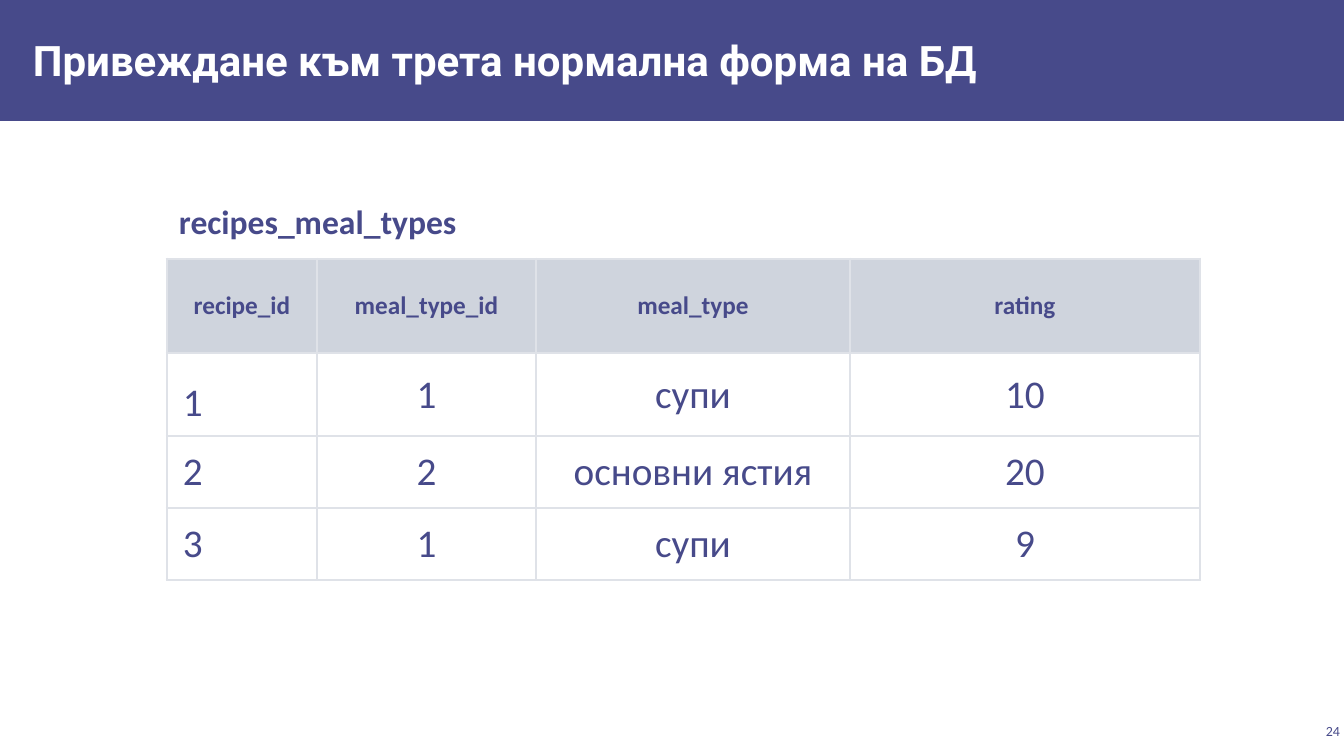
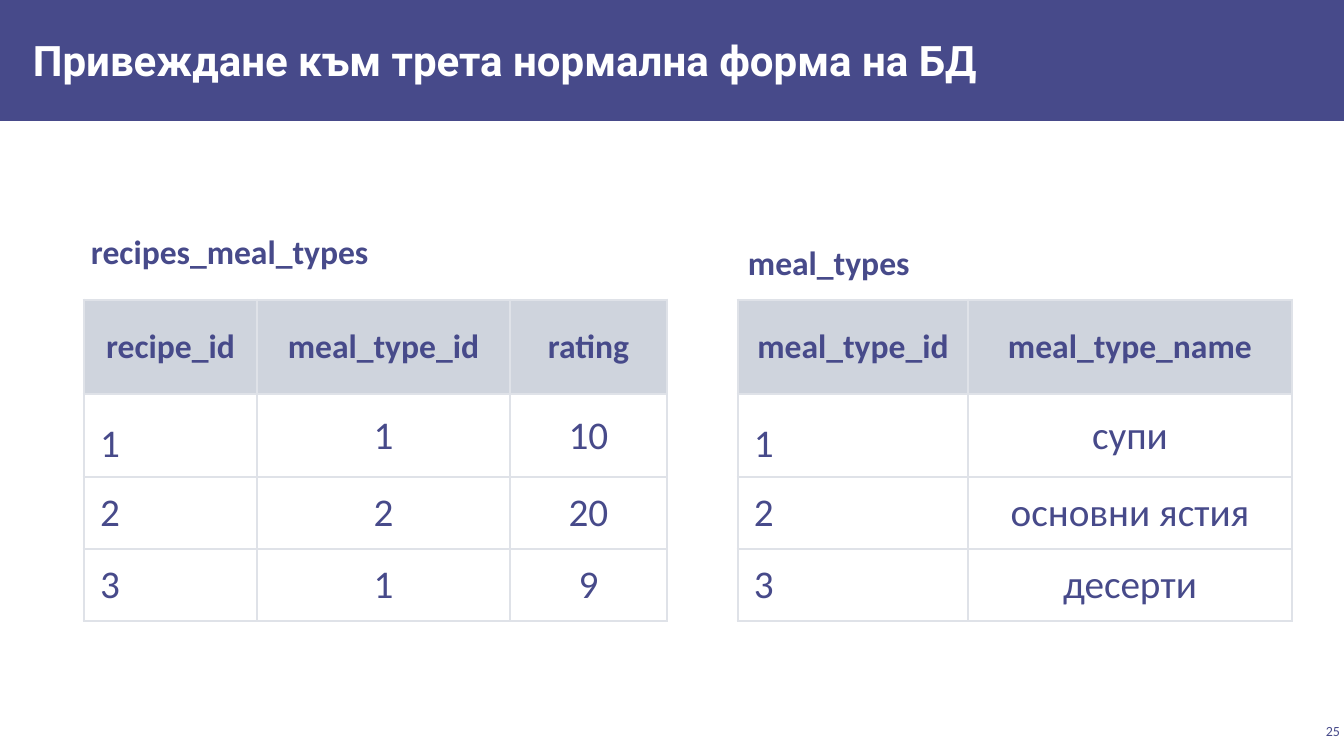
from lxml import etree
from pptx import Presentation
from pptx.dml.color import RGBColor
from pptx.enum.shapes import MSO_SHAPE
from pptx.enum.text import MSO_ANCHOR, PP_ALIGN
from pptx.oxml.ns import qn
from pptx.util import Emu, Pt

RECTANGLE = MSO_SHAPE.RECTANGLE
TOP, MIDDLE = MSO_ANCHOR.TOP, MSO_ANCHOR.MIDDLE
LEFT, CENTER, RIGHT = PP_ALIGN.LEFT, PP_ALIGN.CENTER, PP_ALIGN.RIGHT

EMU_PER_PX = 914400 / 100.8
WIDTH, HEIGHT = 1344, 756
ROW_HEIGHTS = [94, 83, 72, 72]
TITLE = "Привеждане към трета нормална форма на БД"


def px(length):
    return Emu(round(length * EMU_PER_PX))


def color(value):
    return RGBColor.from_string(value)


class SlideWriter:
    INDIGO = "474A8A"
    WHITE = "FFFFFF"
    HEADER = "A1AABC"
    BORDER = "DFE2E8"
    TITLE_FONT = "Roboto"
    BODY_FONT = "Calibri"
    THIN, THICK = 1, 2.25

    def __init__(self, deck):
        self.deck = deck
        self.page = None

    def start(self, number):
        """Add a slide with the title band and the page number."""
        self.page = self.deck.slides.add_slide(self.deck.slide_layouts[6])
        band = self.page.shapes.add_shape(RECTANGLE, 0, 0, px(WIDTH), px(121))
        band.shadow.inherit = False
        band.fill.solid()
        band.fill.fore_color.rgb = color(self.INDIGO)
        band.line.fill.background()
        self.text(TITLE, 21, 11, 1048, 98, 30, margins=(12, 4), bold=True,
                  font=self.TITLE_FONT, ink=self.WHITE, anchor=MIDDLE)
        self.text(str(number), 1296, 720, 48, 22, 10, margins=(4, 4),
                  align=RIGHT, anchor=MIDDLE)

    def style(self, para, size, bold=False, align=LEFT, font=BODY_FONT, ink=INDIGO):
        para.alignment = align
        para.font.size = Pt(size)
        para.font.bold = bold
        para.font.name = font
        para.font.color.rgb = color(ink)

    def set_margins(self, holder, side, end):
        holder.margin_left = holder.margin_right = px(side)
        holder.margin_top = holder.margin_bottom = px(end)

    def text(self, words, left, top, width, height, size,
             margins=(10, 10), anchor=TOP, **style):
        box = self.page.shapes.add_textbox(px(left), px(top), px(width), px(height))
        frame = box.text_frame
        frame.word_wrap = True
        frame.vertical_anchor = anchor
        self.set_margins(frame, *margins)
        frame.text = words
        self.style(frame.paragraphs[0], size, **style)

    def label(self, words, left, top, width, height):
        self.text(words, left, top, width, height, 24, bold=True)

    def borders(self, cell, **widths):
        """Draw the sides L, R, T and B, in that order, with widths in points."""
        properties = cell._tc.get_or_add_tcPr()
        for side, width in widths.items():
            line = etree.SubElement(properties, qn(f"a:ln{side}"), w=str(Pt(width)))
            fill = etree.SubElement(line, qn("a:solidFill"))
            etree.SubElement(fill, qn("a:srgbClr"), val=self.BORDER)

    def header_fill(self, cell):
        cell.fill.solid()
        cell.fill.fore_color.rgb = color(self.HEADER)
        tint = cell._tc.tcPr.find(f".//{qn('a:solidFill')}/{qn('a:srgbClr')}[@val='{self.HEADER}']")
        etree.SubElement(tint, qn("a:alpha"), val="50000")

    def table(self, rows, left, top, widths, header_size, right_edge=THIN):
        frame = self.page.shapes.add_table(
            len(rows), len(widths), px(left), px(top), px(sum(widths)), px(sum(ROW_HEIGHTS)))
        grid = frame.table
        grid.first_row = grid.horz_banding = False
        for column, width in zip(grid.columns, widths):
            column.width = px(width)
        for row, height in zip(grid.rows, ROW_HEIGHTS):
            row.height = px(height)

        last = len(widths) - 1
        for r, values in enumerate(rows):
            for c, value in enumerate(values):
                cell = grid.cell(r, c)
                cell.text = value
                cell.vertical_anchor = MIDDLE
                self.set_margins(cell, 16, 5)
                self.borders(cell,
                             L=self.THICK if c == 0 else self.THIN,
                             R=right_edge if c == last else self.THIN,
                             T=self.THICK if r <= 1 else self.THIN,
                             B=self.THICK if r == 0 else self.THIN)
                para = cell.text_frame.paragraphs[0]
                para.line_spacing = 1.36 if (r, c) == (1, 0) else 0.95
                if r == 0:
                    self.header_fill(cell)
                    self.style(para, header_size, bold=True, align=CENTER)
                else:
                    cell.fill.background()
                    self.style(para, 28, align=LEFT if c == 0 else CENTER)


def main():
    deck = Presentation()
    deck.slide_width, deck.slide_height = px(WIDTH), px(HEIGHT)
    writer = SlideWriter(deck)

    writer.start(24)
    writer.table([
        ["recipe_id", "meal_type_id", "meal_type", "rating"],
        ["1", "1", "супи", "10"],
        ["2", "2", "основни ястия", "20"],
        ["3", "1", "супи", "9"],
    ], 167, 259, [150, 219, 314, 350], 18, right_edge=writer.THICK)
    writer.label("recipes_meal_types", 169, 191, 1018, 54)

    writer.start(25)
    writer.table([
        ["recipe_id", "meal_type_id", "rating"],
        ["1", "1", "10"],
        ["2", "2", "20"],
        ["3", "1", "9"],
    ], 84, 300, [173, 253, 157], 24)
    writer.table([
        ["meal_type_id", "meal_type_name"],
        ["1", "супи"],
        ["2", "основни ястия"],
        ["3", "десерти"],
    ], 738, 300, [230, 324], 24)
    writer.label("recipes_meal_types", 81, 221, 573, 67)
    writer.label("meal_types", 738, 232, 541, 55)

    deck.save("out.pptx")


if __name__ == "__main__":
    main()
